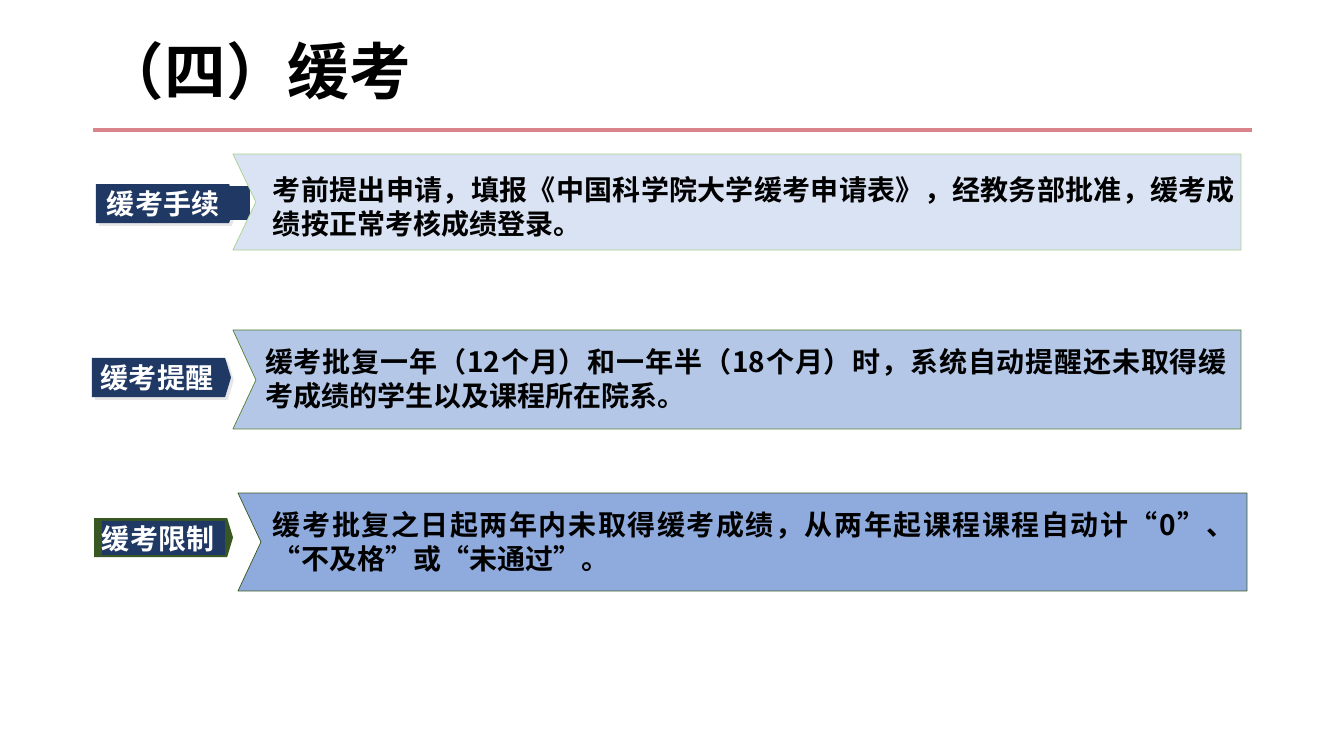
from lxml import etree
from pptx import Presentation
from pptx.dml.color import RGBColor
from pptx.enum.lang import MSO_LANGUAGE_ID
from pptx.enum.shapes import MSO_CONNECTOR, MSO_SHAPE
from pptx.enum.text import MSO_ANCHOR, PP_ALIGN
from pptx.oxml.ns import qn
from pptx.util import Emu, Pt

STRAIGHT = MSO_CONNECTOR.STRAIGHT
PENTAGON = MSO_SHAPE.PENTAGON
RECTANGLE = MSO_SHAPE.RECTANGLE
MIDDLE = MSO_ANCHOR.MIDDLE
LEFT, JUSTIFY = PP_ALIGN.LEFT, PP_ALIGN.JUSTIFY
CHINESE = MSO_LANGUAGE_ID.SIMPLIFIED_CHINESE

TITLE = "（四）缓考"
ROWS = [
    {
        "label": "缓考手续",
        "text": "考前提出申请，填报《中国科学院大学缓考申请表》，经教务部批准，缓考成绩按正常考核成绩登录。",
        "tag": (96, 184), "label_box": (107, 186, 143, 34),
        "banner": (233, 154, 1008, 96), "text_at": (273, 172),
        "tag_fill": "203864", "fill": "DAE3F3", "edge": "A9D18E", "shadow": True,
    },
    {
        "label": "缓考提醒",
        "text": "缓考批复一年（12个月）和一年半（18个月）时，系统自动提醒还未取得缓考成绩的学生以及课程所在院系。",
        "tag": (92, 358), "label_box": (101, 360, 120, 34),
        "banner": (233, 330, 1008, 99), "text_at": (265, 344),
        "tag_fill": "203864", "fill": "B4C7E7", "edge": "548235", "shadow": True,
    },
    {
        "label": "缓考限制",
        "text": "缓考批复之日起两年内未取得缓考成绩，从两年起课程课程自动计“0”、“不及格”或“未通过”。",
        "tag": (94, 518), "label_box": (102, 521, 123, 34),
        "banner": (238, 493, 1009, 98), "text_at": (273, 507),
        "tag_fill": "385723", "fill": "8FAADC", "edge": "385723", "shadow": False,
    },
]
THEME = {
    "rule": "D9838A", "label": "203864", "shadow": "E7E6E6",
    "light": "FFFFFF", "dark": "000000",
    "title_size": 44, "body_size": 20, "rule_width": 3, "edge_width": 0.5,
    "title_font": "Arial", "body_font": "Noto Sans CJK SC",
}
SCALE = 914400 / 100.8
TAG_SIZE = (139, 39)
TEXT_SIZE = (962, 68)
NOTCH = 23


def px(*values):
    return [Emu(round(value * SCALE)) for value in values]


def color(value):
    return RGBColor.from_string(value)


def fill_shape(shape, fill, edge=None):
    shape.shadow.inherit = False
    shape.fill.solid()
    shape.fill.fore_color.rgb = color(fill)
    if edge:
        shape.line.color.rgb = color(edge)
        shape.line.width = Pt(THEME["edge_width"])
    else:
        shape.line.fill.background()


def write(shape, text, size, ink, font, align, margins=(0, 0), spacing=1):
    frame = shape.text_frame
    side, end = px(*margins)
    settings = {
        "word_wrap": True, "vertical_anchor": MIDDLE,
        "margin_left": side, "margin_right": side,
        "margin_top": end, "margin_bottom": end,
    }
    for name, value in settings.items():
        setattr(frame, name, value)
    para = frame.paragraphs[0]
    para.alignment = align
    para.line_spacing = spacing
    span = para.add_run()
    span.text = text
    for name, value in {"name": font, "size": Pt(size), "bold": True,
                        "language_id": CHINESE}.items():
        setattr(span.font, name, value)
    span.font.color.rgb = color(ink)
    latin = span.font._element.find(qn("a:latin"))
    east = etree.Element(qn("a:ea"), typeface=THEME["body_font"])
    latin.addnext(east)


def add_shadow(shape):
    effects = shape._element.spPr.find(qn("a:effectLst"))
    shadow = etree.SubElement(effects, qn("a:outerShdw"), dist=str(Pt(2.8)),
                              dir="2700000", algn="ctr", rotWithShape="0")
    etree.SubElement(shadow, qn("a:srgbClr"), val=THEME["shadow"])


def add_row(page, row):
    tag = page.shapes.add_shape(PENTAGON, *px(*row["tag"], *TAG_SIZE))
    tag.adjustments[0] = 0.15
    fill_shape(tag, row["tag_fill"])
    if row["shadow"]:
        add_shadow(tag)

    label = page.shapes.add_shape(RECTANGLE, *px(*row["label_box"]))
    fill_shape(label, THEME["label"])
    write(label, row["label"], THEME["body_size"], THEME["light"],
          THEME["body_font"], LEFT)

    left, top, width, height = row["banner"]
    right, bottom = left + width, top + height
    outline = page.shapes.build_freeform(right, top, scale=SCALE)
    outline.add_line_segments([
        (left, top), (left + NOTCH, top + height / 2),
        (left, bottom), (right, bottom),
    ], close=True)
    fill_shape(outline.convert_to_shape(), row["fill"], row["edge"])

    box = page.shapes.add_textbox(*px(*row["text_at"], *TEXT_SIZE))
    write(box, row["text"], THEME["body_size"], THEME["dark"],
          THEME["body_font"], JUSTIFY)


def main():
    deck = Presentation()
    deck.slide_width, deck.slide_height = px(1344, 756)
    page = deck.slides.add_slide(deck.slide_layouts[6])

    rule = page.shapes.add_connector(STRAIGHT, *px(93, 130, 1252, 130))
    rule.line.color.rgb = color(THEME["rule"])
    rule.line.width = Pt(THEME["rule_width"])
    etree.SubElement(rule._element.spPr, qn("a:effectLst"))

    title = page.shapes.add_textbox(*px(93, 19, 1159, 111))
    write(title, TITLE, THEME["title_size"], THEME["dark"],
          THEME["title_font"], LEFT, margins=(10, 5), spacing=0.9)

    for row in ROWS:
        add_row(page, row)
    deck.save("out.pptx")


if __name__ == "__main__":
    main()
